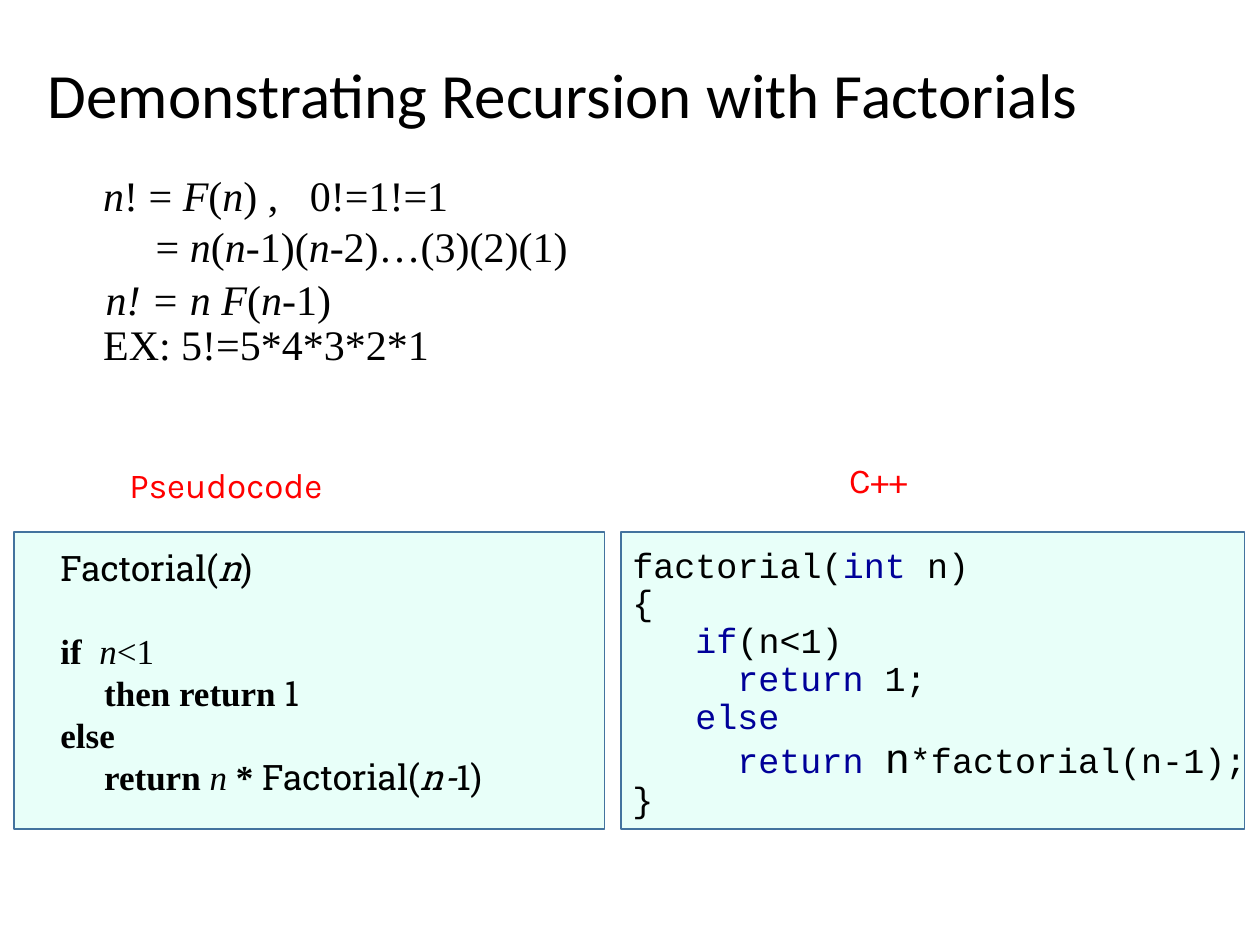
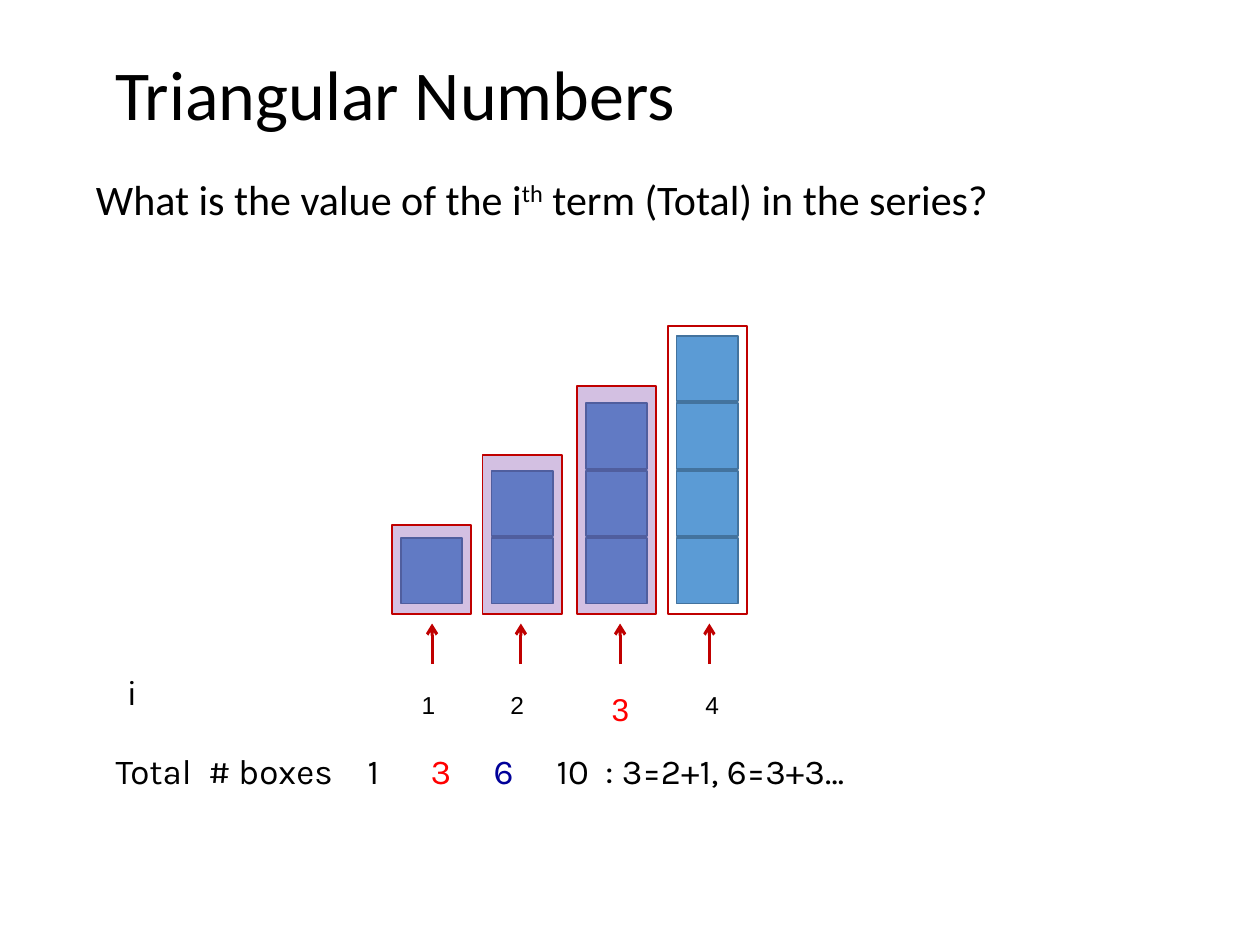
from lxml.etree import SubElement
from pptx import Presentation
from pptx.dml.color import RGBColor
from pptx.enum.shapes import MSO_CONNECTOR as Connector, MSO_SHAPE as Shape
from pptx.enum.text import MSO_ANCHOR as Anchor, MSO_AUTO_SIZE as AutoSize, PP_ALIGN as Align
from pptx.oxml.ns import qn
from pptx.util import Cm, Pt

BLACK, RED, NAVY = "000000", "FF0000", "000099"
BLOCK_BLUE, EDGE_BLUE = "5B9BD5", "43739E"
FRAME_RED, FRAME_PURPLE, PANEL_MINT = "C00000", "7030A0", "75FFDB"
HEADING_FONT, LABEL_FONT, SLAB_FONT = "Calibri", "Karla", "Roboto Slab"
MATH_FONT, CODE_FONT, NUMBER_FONT = "Times New Roman", "Courier New", "Arial"
ITALIC, BOLD = {"italic": True}, {"bold": True}
SLAB, KEYWORD = {"font": SLAB_FONT}, {"color": NAVY}
N = ("n", ITALIC)


def rgb(color):
    """Turn a hex string into a colour."""
    return RGBColor.from_string(color)


def cm(box):
    """Turn a box in centimetres into lengths."""
    return [Cm(length) for length in box]


def inside(box, dx, dy, width, height):
    """Return a box offset from the corner of another."""
    return box[0] + dx, box[1] + dy, width, height


def write(frame, *runs, indent=0, before=0, spacing=1.0, tabs=(), **base):
    """Add one paragraph of plain or (text, format) runs to a text frame."""
    paragraph = frame.add_paragraph() if frame.text else frame.paragraphs[0]
    paragraph.alignment = Align.LEFT
    paragraph.line_spacing = spacing
    paragraph.space_before = Pt(before)
    properties = paragraph._p.get_or_add_pPr()
    properties.set("marL", str(Cm(indent)))
    properties.set("indent", "0")
    SubElement(properties, qn("a:buNone"))
    if tabs:
        stops = SubElement(properties, qn("a:tabLst"))
        for stop in tabs:
            SubElement(stops, qn("a:tab"), pos=str(Cm(stop)), algn="l")
    for item in runs:
        text, changes = (item, {}) if isinstance(item, str) else item
        style = {"color": BLACK, **base, **changes}
        run = paragraph.add_run()
        run.text = text
        run.font.name = style["font"]
        run.font.size = Pt(style["size"])
        run.font.color.rgb = rgb(style["color"])
        run.font.bold = style.get("bold", False)
        run.font.italic = style.get("italic", False)
        if "raised" in style:
            run._r.get_or_add_rPr().set("baseline", str(style["raised"] * 1000))


def text_area(slide, box, wrap=True):
    """Add a text box and return its frame."""
    frame = slide.shapes.add_textbox(*cm(box)).text_frame
    frame.word_wrap = wrap
    return frame


def fill_placeholder(placeholder, box, *runs, anchor=Anchor.TOP, **style):
    """Move a placeholder and write its text."""
    placeholder.left, placeholder.top, placeholder.width, placeholder.height = cm(box)
    frame = placeholder.text_frame
    frame.auto_size = AutoSize.NONE
    frame.vertical_anchor = anchor
    write(frame, *runs, font=HEADING_FONT, spacing=0.9, **style)


def title(slide, box, text, **style):
    """Fill the slide title."""
    fill_placeholder(slide.shapes.title, box, text, anchor=Anchor.MIDDLE, **style)


def rectangle(slide, box, fill, edge, opacity=100):
    """Draw a rectangle with an optional, possibly translucent fill."""
    shape = slide.shapes.add_shape(Shape.RECTANGLE, *cm(box))
    shape.shadow.inherit = False
    shape.line.color.rgb = rgb(edge)
    shape.line.width = Pt(1)
    if fill is None:
        shape.fill.background()
        return
    shape.fill.solid()
    shape.fill.fore_color.rgb = rgb(fill)
    if opacity < 100:
        tint = shape._element.spPr.find(qn("a:solidFill"))[0]
        SubElement(tint, qn("a:alpha"), val=str(opacity * 1000))


def up_arrow(slide, x, bottom, top):
    """Draw a vertical arrow pointing up."""
    arrow = slide.shapes.add_connector(Connector.STRAIGHT, *cm((x, bottom, x, top)))
    arrow.line.color.rgb = rgb(FRAME_RED)
    arrow.line.width = Pt(1.75)
    SubElement(arrow.line._get_or_add_ln(), qn("a:tailEnd"), type="arrow")
    SubElement(arrow._element.spPr, qn("a:effectLst"))


def code_panel(slide, box, heading, heading_box, code_box):
    """Draw a tinted panel with its heading and return the code frame."""
    rectangle(slide, box, PANEL_MINT, EDGE_BLUE, opacity=16)
    write(text_area(slide, inside(box, *heading_box)), heading,
          font=LABEL_FONT, size=20, color=RED)
    return text_area(slide, inside(box, *code_box))


def pseudocode(slide, box):
    """Write the pseudocode panel."""
    frame = code_panel(slide, box, "Pseudocode", (2.08, -1.5, 6.27, 1.12), (0.69, 0.18, 11.2, 6.25))
    slab_n = {**SLAB, **ITALIC}
    lines = [
        (0, 0, [("Factorial(", SLAB), ("n", slab_n), (")", SLAB)]),
        (0, 23, [("if  ", BOLD), N, "<1"]),
        (0.88, 0, [("then return ", BOLD), ("1", SLAB)]),
        (0, 0, [("else", BOLD)]),
        (0.88, 0, [("return ", BOLD), ("n ", ITALIC), ("* ", BOLD),
                   ("Factorial(", SLAB), ("n-", slab_n), ("1)", SLAB)]),
    ]
    for indent, before, runs in lines:
        write(frame, *runs, indent=indent, before=before, font=MATH_FONT, size=20)


def cpp_code(slide, box):
    """Write the C++ panel."""
    frame = code_panel(slide, box, "C++", (4.35, -1.6, 2.01, 1.12), (-0.02, 0.2, 13.41, 5.79))
    lines = [
        (0, ["factorial(", ("int", KEYWORD), " n)"]),
        (0, ["{"]),
        (3, [("if", KEYWORD), "(n<1)"]),
        (5, [("return", KEYWORD), " 1;"]),
        (3, [("else", KEYWORD)]),
        (5, [("return ", KEYWORD), ("n", {"size": 24}), "*factorial(n-1);"]),
        (0, ["}"]),
    ]
    character = 12 * 2.54 / 72
    for depth, runs in lines:
        write(frame, *runs, indent=depth * character, spacing=0.9, font=CODE_FONT, size=20)


def definition(slide, box):
    """Write the definition of the factorial."""
    math = {"font": MATH_FONT, "size": 24}
    frame = text_area(slide, box)
    write(frame, N, "! = ", ("F", ITALIC), "(", N, ") ,   0!=1!=1", **math)
    write(frame, "= ", N, "(", N, "-1)(", N, "-2)…(3)(2)(1)", indent=1.06, **math)
    write(frame, "EX: 5!=5*4*3*2*1", before=27.6, **math)
    recurrence = text_area(slide, inside(box, 0.05, 2.08, 5.1, 1.27), wrap=False)
    write(recurrence, ("n! = n F", ITALIC), "(", N, "-1)", **math)


def staircase(slide, box):
    """Draw the growing columns of blocks with their arrows and indices."""
    base = box[3]
    columns = [
        (0, 1.8, 0.81, 0.14),
        (1.83, 3.2, 2.6, 0.14),
        (3.73, 4.6, 4.6, 0.18),
        (5.56, 5.8, 6.4, 0.27),
    ]
    for index, (left, height, arrow_x, indent) in enumerate(columns, 1):
        for level in range(index):
            block = inside(box, left + 0.18, base - 1.53 - level * 1.36, 1.24, 1.32)
            rectangle(slide, block, BLOCK_BLUE, EDGE_BLUE)
        frame_fill = FRAME_PURPLE if index < len(columns) else None
        frame = inside(box, left, base - height, 1.6, height)
        rectangle(slide, frame, frame_fill, FRAME_RED, opacity=30)
        foot = box[1] + base
        up_arrow(slide, box[0] + arrow_x, foot + 1.01, foot + 0.19)
        size, color = (18, RED) if index == 3 else (14, BLACK)
        write(text_area(slide, inside(box, arrow_x - 0.6, base + 1.41, 1.2, 0.86)), str(index),
              indent=indent, font=NUMBER_FONT, size=size, color=color)


def totals(slide, box):
    """Write the index caption and the row of totals."""
    label = {"font": LABEL_FONT, "size": 20}
    write(text_area(slide, inside(box, 0.23, -1.6, 6.2, 1.12)), "i", **label)
    write(text_area(slide, box), "Total  # boxes\t1\t", ("3\t", {"color": RED}),
          ("6\t", KEYWORD), "10  : 3=2+1, 6=3+3…", tabs=(5.54, 6.81, 8.56, 9.98), **label)


def factorial_slide(deck):
    """Build the slide on recursion."""
    slide = deck.slides.add_slide(deck.slide_layouts[5])
    title(slide, (0.71, 1.02, 24, 1.9), "Demonstrating Recursion with Factorials", size=36)
    cpp_code(slide, (12.52, 10.72, 12.57, 5.99))
    pseudocode(slide, (0.28, 10.72, 11.91, 5.99))
    definition(slide, (1.83, 3.3, 16.97, 4.37))


def triangular_slide(deck):
    """Build the slide on triangular numbers."""
    slide = deck.slides.add_slide(deck.slide_layouts[1])
    title(slide, (1.75, 0.13, 21.89, 3.68), "Triangular Numbers", size=40, indent=0.32)
    fill_placeholder(slide.placeholders[1], (1.68, 3.48, 23.14, 1.12), "What is the value of the i",
                     ("th", {"raised": 30}), " term (Total) in the series?", size=24, before=7.5)
    staircase(slide, (7.9, 6.58, 7.16, 5.8))
    totals(slide, (2.08, 14.99, 22.2, 1.12))


def main():
    """Build and save the presentation."""
    deck = Presentation()
    deck.slide_width, deck.slide_height = Cm(25.4), Cm(19.05)
    factorial_slide(deck)
    triangular_slide(deck)
    deck.save("out.pptx")


if __name__ == "__main__":
    main()
